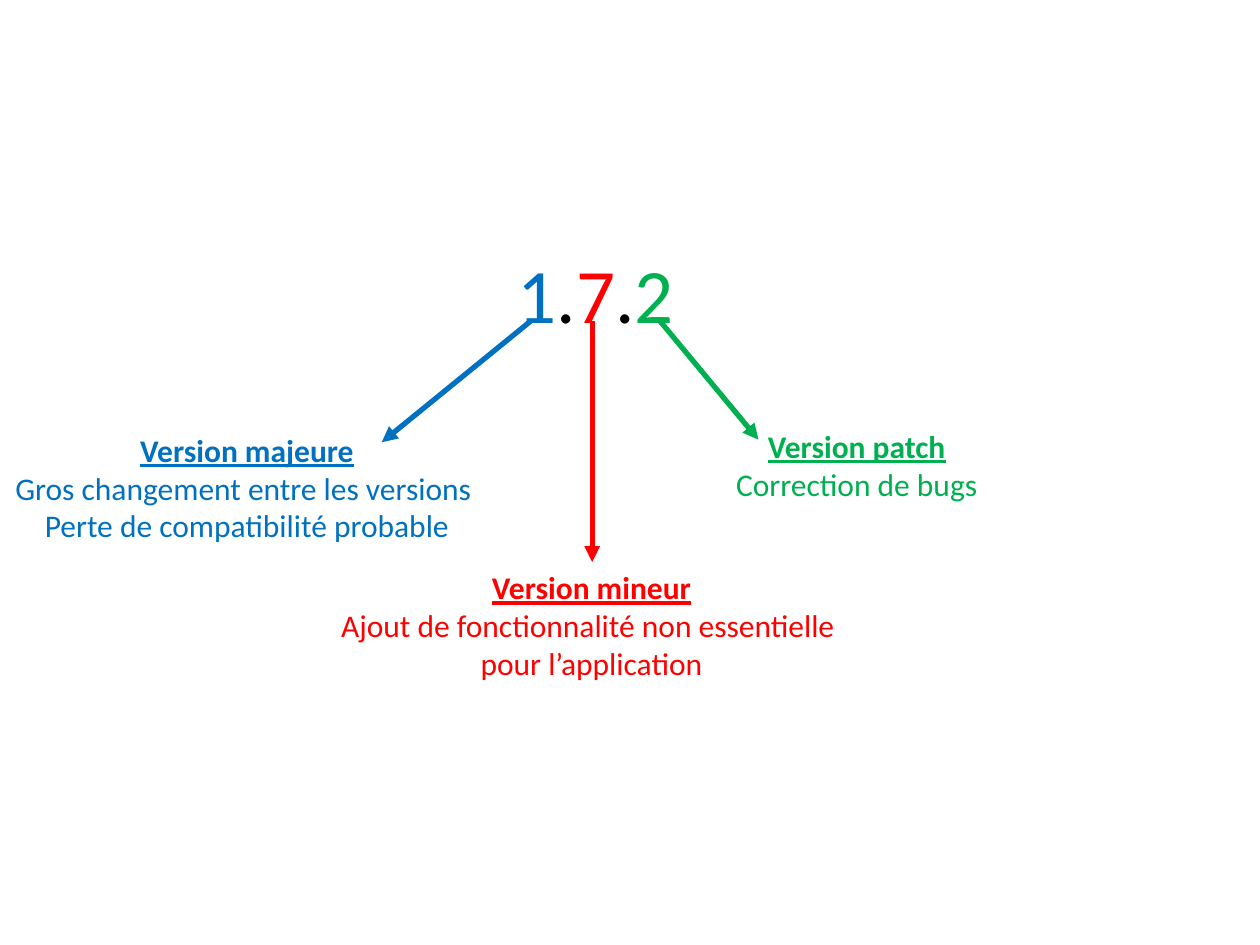
from dataclasses import dataclass

from lxml.etree import SubElement
from pptx import Presentation
from pptx.dml.color import RGBColor
from pptx.enum.shapes import MSO_CONNECTOR
from pptx.enum.text import MSO_AUTO_SIZE, PP_ALIGN
from pptx.oxml.ns import qn
from pptx.util import Inches, Pt


@dataclass(frozen=True)
class Theme:
    font: str = "Calibri"
    major: RGBColor = RGBColor(0x00, 0x70, 0xC0)
    minor: RGBColor = RGBColor(0xFF, 0x00, 0x00)
    patch: RGBColor = RGBColor(0x00, 0xB0, 0x50)
    dot: RGBColor = RGBColor(0x00, 0x00, 0x00)
    number_size: Pt = Pt(44)
    label_size: Pt = Pt(18)
    arrow_width: Pt = Pt(3)


THEME = Theme()


def add_text_frame(slide, box, wrap):
    text_frame = slide.shapes.add_textbox(*map(Inches, box)).text_frame
    text_frame.word_wrap = wrap
    text_frame.auto_size = MSO_AUTO_SIZE.SHAPE_TO_FIT_TEXT
    return text_frame


def add_version_number(slide, box, parts):
    paragraph = add_text_frame(slide, box, True).paragraphs[0]
    paragraph.font.name = THEME.font
    paragraph.font.size = THEME.number_size
    for text, color in parts:
        run = paragraph.add_run()
        run.text = text
        run.font.color.rgb = color


def add_explanation(slide, box, color, lines):
    text_frame = add_text_frame(slide, box, False)
    text_frame.text = "\n".join(lines)
    for index, paragraph in enumerate(text_frame.paragraphs):
        paragraph.alignment = PP_ALIGN.CENTER
        font = paragraph.font
        font.name = THEME.font
        font.size = THEME.label_size
        font.color.rgb = color
        font.bold = font.underline = index == 0


def add_arrow(slide, start, end, color):
    arrow = slide.shapes.add_connector(
        MSO_CONNECTOR.STRAIGHT, *map(Inches, start + end)
    )
    arrow.line.color.rgb = color
    arrow.line.width = THEME.arrow_width
    SubElement(arrow.line._get_or_add_ln(), qn("a:tailEnd"), type="triangle")
    SubElement(arrow._element.spPr, qn("a:effectLst"))


def build_version_slide(presentation):
    slide = presentation.slides.add_slide(presentation.slide_layouts[6])
    add_version_number(slide, (4.01, 1.91, 1.78, 0.84), [
        ("1", THEME.major),
        (".", THEME.dot),
        ("7", THEME.minor),
        (".", THEME.dot),
        ("2", THEME.patch),
    ])
    explanations = [
        (THEME.major, (0, 3.37, 3.92, 1.01), (4.21, 2.55), (3.03, 3.51), [
            "Version majeure",
            "Gros changement entre les versions ",
            "Perte de compatibilité probable",
        ]),
        (THEME.minor, (2.58, 4.46, 4.23, 1.01), (4.7, 2.55), (4.7, 4.46), [
            "Version mineur",
            "Ajout de fonctionnalité non essentielle ",
            "pour l’application",
        ]),
        (THEME.patch, (5.73, 3.34, 2.14, 0.71), (5.24, 2.55), (6.02, 3.49), [
            "Version patch",
            "Correction de bugs",
        ]),
    ]
    for color, box, start, end, lines in explanations:
        add_explanation(slide, box, color, lines)
        add_arrow(slide, start, end, color)


def main():
    presentation = Presentation()
    presentation.slide_width = Inches(10)
    presentation.slide_height = Inches(7.5)
    build_version_slide(presentation)
    presentation.save("out.pptx")


main()
